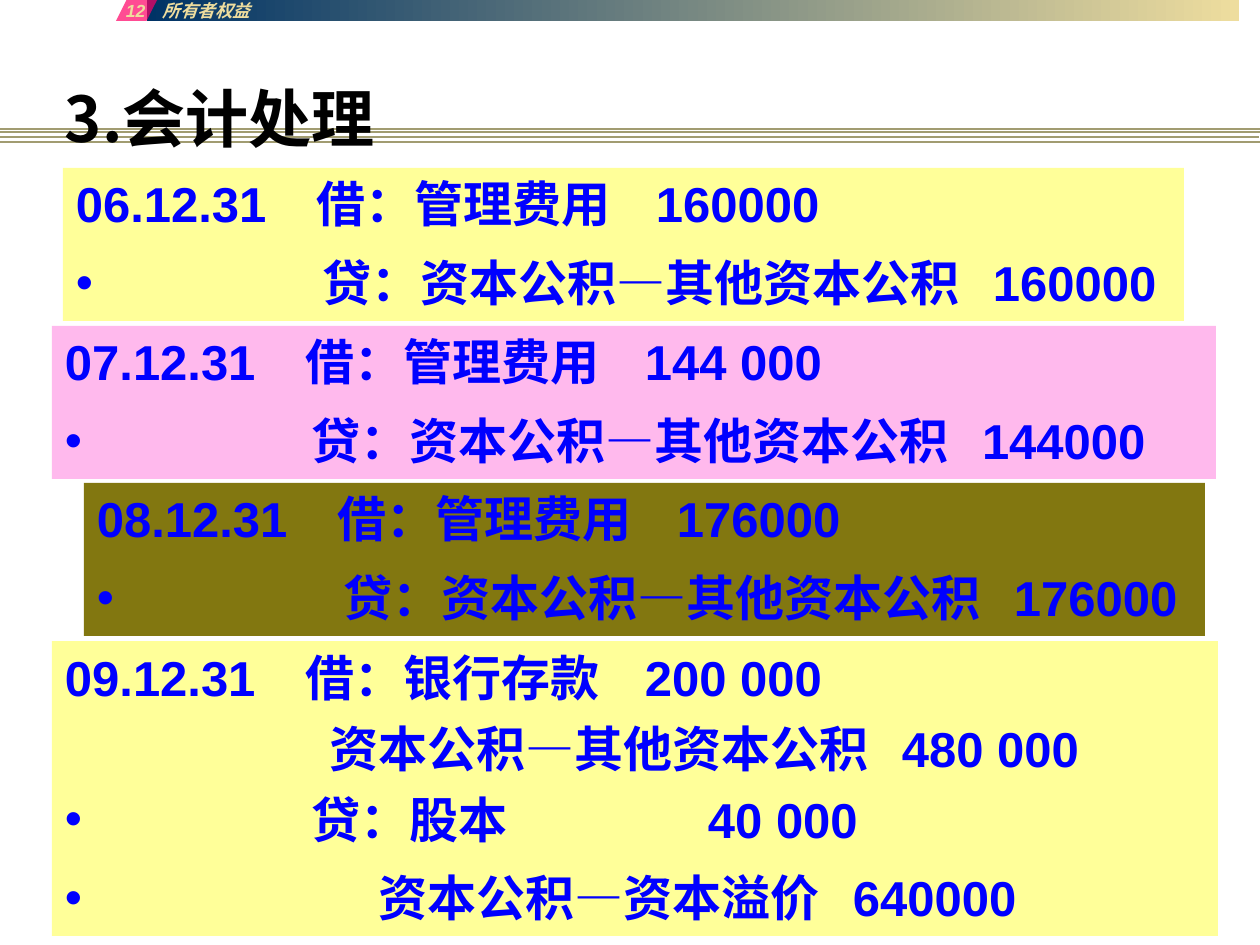
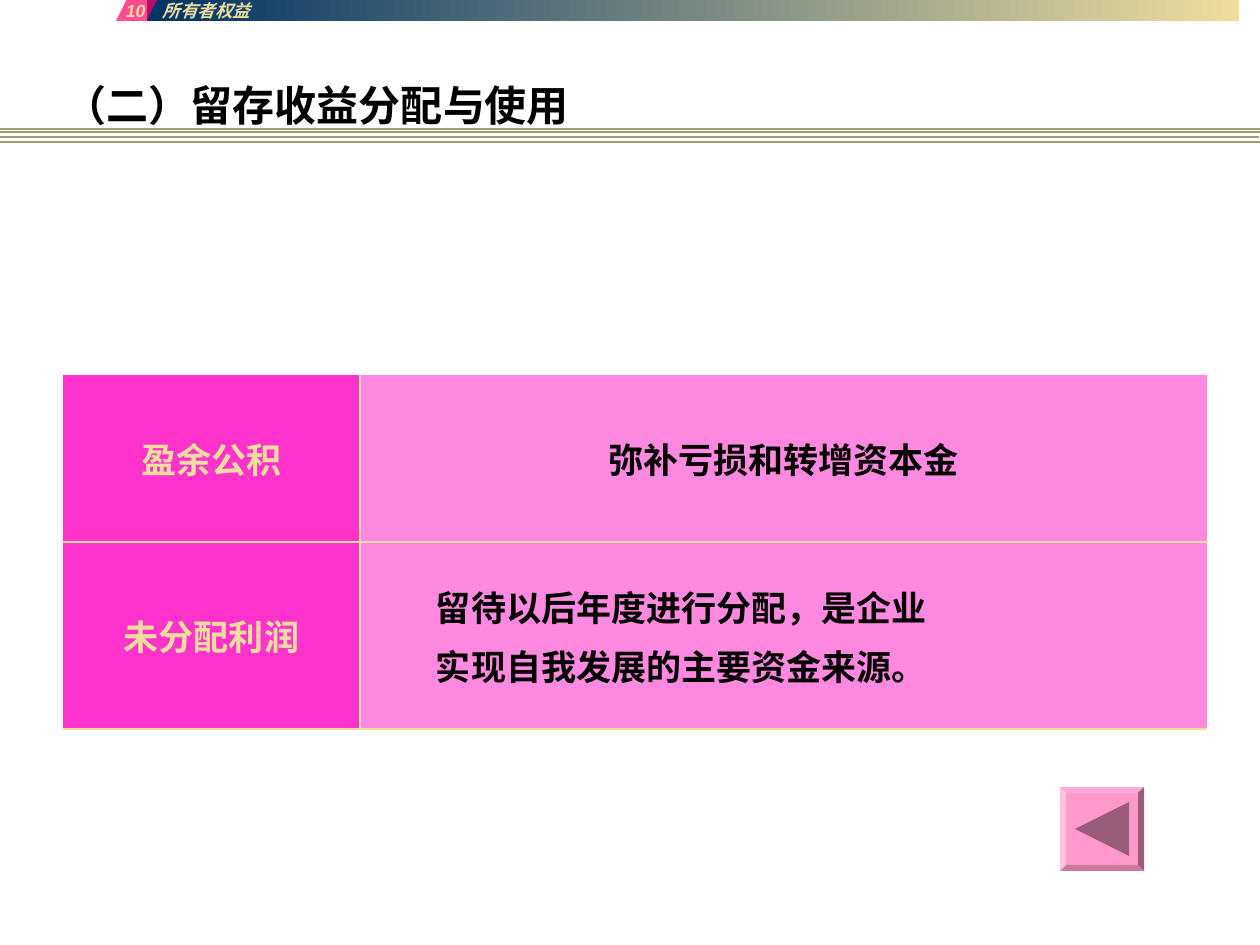
from lxml.etree import SubElement
from pptx import Presentation
from pptx.dml.color import RGBColor
from pptx.enum.shapes import MSO_CONNECTOR, MSO_SHAPE
from pptx.enum.text import MSO_ANCHOR, MSO_AUTO_SIZE, PP_ALIGN
from pptx.oxml.ns import qn
from pptx.util import Pt

SCALE = 914400 / 126
HAN = "Noto Sans CJK SC"
HUE = {
    "rule": "A19C71", "sand": "EEDD9E", "navy": "003366", "rose": "FF0066",
    "ink": "000000", "blue": "0000FF", "lemon": "FFFF99", "blush": "FFB9ED",
    "olive": "827710", "deep": "FF33CC", "pale": "FF89E0", "face": "FF99CC",
    "top": "FFADD6", "left": "FFC2E0", "right": "995C7A", "base": "CC7AA3",
}
ENTRIES = [
    ((63, 168, 1121, 153), "lemon", [
        ("06.12.31\t借：管理费用\t160000", False, (241, 580)),
        ("\t贷：资本公积—其他资本公积\t160000", True, (247, 917))]),
    ((52, 326, 1164, 153), "blush", [
        ("07.12.31\t借：管理费用\t144 000", False, (241, 580)),
        ("\t贷：资本公积—其他资本公积\t144000", True, (247, 917))]),
    ((84, 483, 1121, 153), "olive", [
        ("08.12.31\t借：管理费用\t176000", False, (241, 580)),
        ("\t贷：资本公积—其他资本公积\t176000", True, (247, 917))]),
    ((52, 641, 1166, 295), "lemon", [
        ("09.12.31\t借：银行存款\t200 000", False, (241, 580)),
        ("\t资本公积—其他资本公积\t480 000", False, (265, 837)),
        ("\t贷：股本\t40 000", True, (247, 643)),
        ("\t资本公积—资本溢价\t640000", True, (314, 788))]),
]
USES = [
    ("盈余公积", ["弥补亏损和转增资本金"]),
    ("未分配利润", ["留待以后年度进行分配，是企业", "实现自我发展的主要资金来源。"]),
]


def px(num):
    """Turn px into EMU."""
    return round(num * SCALE)


def rgb(name):
    """Look up a colour."""
    return RGBColor.from_string(HUE[name])


def apply(obj, form):
    """Set each attribute named in a format dict."""
    for key, val in form.items():
        setattr(obj, key, val)


def set_frame(frame, side=0, anchor=MSO_ANCHOR.TOP, top=0):
    """Set the wrap, anchor and margins of a text frame."""
    apply(frame, dict(word_wrap=True, auto_size=MSO_AUTO_SIZE.NONE,
                      vertical_anchor=anchor, margin_left=px(side),
                      margin_right=0, margin_top=px(top), margin_bottom=0))


def write(para, text, size, hue, face="Arial", italic=False):
    """Add one bold run to a paragraph."""
    run = para.add_run()
    run.text = text
    apply(run.font, dict(size=Pt(size), name=face, bold=True, italic=italic))
    run.font.color.rgb = rgb(hue)
    SubElement(run.font._element, qn("a:ea"), typeface=HAN)


def set_tabs(para, stops, bullet=False):
    """Give a paragraph its bullet and tab stops."""
    props = para._p.get_or_add_pPr()
    if bullet:
        props.set("marL", "0")
        props.set("indent", "0")
        SubElement(props, qn("a:buFont"), typeface="Arial")
        SubElement(props, qn("a:buChar"), char="•")
    tabs = SubElement(props, qn("a:tabLst"))
    for stop in stops:
        SubElement(tabs, qn("a:tab"), pos=str(px(stop)), algn="l")


def add_box(slide, box, hue, kind=MSO_SHAPE.RECTANGLE):
    """Add a filled shape with no line or shadow."""
    shape = slide.shapes.add_shape(kind, *map(px, box))
    shape.shadow.inherit = False
    shape.line.fill.background()
    shape.fill.solid()
    shape.fill.fore_color.rgb = rgb(hue)
    return shape


def add_rules(slide):
    """Draw the four rules behind the title."""
    for y, x in ((129, 0), (132, 0), (137, -1), (142, 0)):
        line = slide.shapes.add_connector(
            MSO_CONNECTOR.STRAIGHT, px(x), px(y), px(x + 1260), px(y))
        line.line.width = Pt(0.75)
        line.line.color.rgb = rgb("rule")
        SubElement(line._element.spPr, qn("a:effectLst"))


def add_band(slide, number):
    """Draw the top band with its number and chapter name."""
    band = add_box(slide, (147, 0, 1092, 21), "navy")
    band.fill.gradient()
    band.fill.gradient_angle = 180
    for stop, hue, pos in zip(band.fill.gradient_stops, ("sand", "navy"), (0, 1)):
        stop.color.rgb = rgb(hue)
        stop.position = pos
    flag = add_box(slide, (116, 0, 41, 21), "rose", MSO_SHAPE.PARALLELOGRAM)
    flag.adjustments[0] = 0.5
    tint = flag._element.spPr.find(qn("a:solidFill"))[0]
    SubElement(tint, qn("a:alpha"), val="70000")
    label = slide.shapes.add_textbox(*map(px, (126, 0, 192, 21)))
    set_frame(label.text_frame, anchor=MSO_ANCHOR.MIDDLE)
    para = label.text_frame.paragraphs[0]
    set_tabs(para, [37])
    write(para, f"{number}\t所有者权益", 10, "sand", italic=True)


def add_slide(deck, number, text, size, face):
    """Start a slide with its rules, band and title."""
    slide = deck.slides.add_slide(deck.slide_layouts[5])
    add_rules(slide)
    add_band(slide, number)
    title = slide.shapes.title
    slide.shapes.element.append(title._element)
    apply(title, dict(left=px(52), top=px(73), width=px(1092), height=px(88)))
    set_frame(title.text_frame, 13, top=6)
    para = title.text_frame.paragraphs[0]
    para.alignment = PP_ALIGN.LEFT
    write(para, text, size, "ink", face)
    return slide


def add_entry(slide, box, hue, rows):
    """Draw one dated journal entry."""
    frame = add_box(slide, box, hue).text_frame
    set_frame(frame, 13, top=6)
    for num, (text, bullet, stops) in enumerate(rows):
        para = frame.add_paragraph() if num else frame.paragraphs[0]
        set_tabs(para, stops, bullet)
        para.alignment = PP_ALIGN.LEFT
        if num:
            para.space_before = Pt(11.4 if num == len(rows) - 1 else 7)
        write(para, text, 28, "blue")


def set_edges(cell, sides):
    """Draw the named borders of a cell and clear the others."""
    props = cell._tc.get_or_add_tcPr()
    for num, side in enumerate("LRTB"):
        line = SubElement(props, qn(f"a:ln{side}"), w=str(Pt(1.47)))
        props.insert(num, line)
        if side in sides:
            fill = SubElement(line, qn("a:solidFill"))
            SubElement(fill, qn("a:srgbClr"), val=HUE["sand"])
        else:
            SubElement(line, qn("a:noFill"))


def fill_cell(cell, lines, fill, hue, sides):
    """Fill and write one table cell."""
    cell.fill.solid()
    cell.fill.fore_color.rgb = rgb(fill)
    apply(cell, dict(vertical_anchor=MSO_ANCHOR.MIDDLE, margin_left=px(13),
                     margin_right=px(13), margin_top=px(6), margin_bottom=px(6)))
    set_edges(cell, sides)
    for num, text in enumerate(lines):
        para = cell.text_frame.add_paragraph() if num else cell.text_frame.paragraphs[0]
        if len(lines) > 1:
            para._p.get_or_add_pPr().set("marL", str(px(63)))
        else:
            para.alignment = PP_ALIGN.CENTER
        if num:
            para.space_before = Pt(5)
        write(para, text, 20, hue, "DejaVu Sans")


def add_uses(slide, box):
    """Draw the table of how each reserve is used."""
    table = slide.shapes.add_table(2, 2, *map(px, box)).table
    apply(table, dict(first_row=False, horz_banding=False))
    for col, wide in zip(table.columns, (297, box[2] - 297)):
        col.width = px(wide)
    for row, high in zip(table.rows, (167, box[3] - 167)):
        row.height = px(high)
    for num, (name, lines) in enumerate(USES):
        roof = "T" if num else ""
        fill_cell(table.cell(num, 0), [name], "deep", "sand", "RB" + roof)
        fill_cell(table.cell(num, 1), lines, "pale", "ink", "LB" + roof)


def add_button(slide, left, top, size):
    """Draw a bevelled back button."""
    rim, tip = 6, 15
    far, end = size - rim, size - tip
    outer = [(0, 0), (size, 0), (size, size), (0, size)]
    inner = [(rim, rim), (far, rim), (far, far), (rim, far)]
    parts = [("face", outer)]
    for num, hue in enumerate(("top", "right", "base", "left")):
        after = (num + 1) % 4
        parts.append((hue, [outer[num], outer[after], inner[after], inner[num]]))
    parts.append(("right", [(tip, size // 2), (end, tip), (end, end)]))
    for hue, points in parts:
        spots = [(left + x, top + y) for x, y in points]
        pen = slide.shapes.build_freeform(*spots[0], scale=SCALE)
        pen.add_line_segments(spots[1:], close=True)
        shape = pen.convert_to_shape()
        shape.shadow.inherit = False
        shape.line.fill.background()
        shape.fill.solid()
        shape.fill.fore_color.rgb = rgb(hue)


def main():
    """Build both slides and save them."""
    deck = Presentation()
    apply(deck, dict(slide_width=px(1260), slide_height=px(945)))
    slide = add_slide(deck, 12, "3.会计处理", 36, HAN)
    for box, hue, rows in ENTRIES:
        add_entry(slide, box, hue, rows)
    slide = add_slide(deck, 10, "（二）留存收益分配与使用", 24, "Arial")
    add_uses(slide, (63, 375, 1144, 354))
    add_button(slide, 1060, 787, 84)
    deck.save("out.pptx")


if __name__ == "__main__":
    main()
